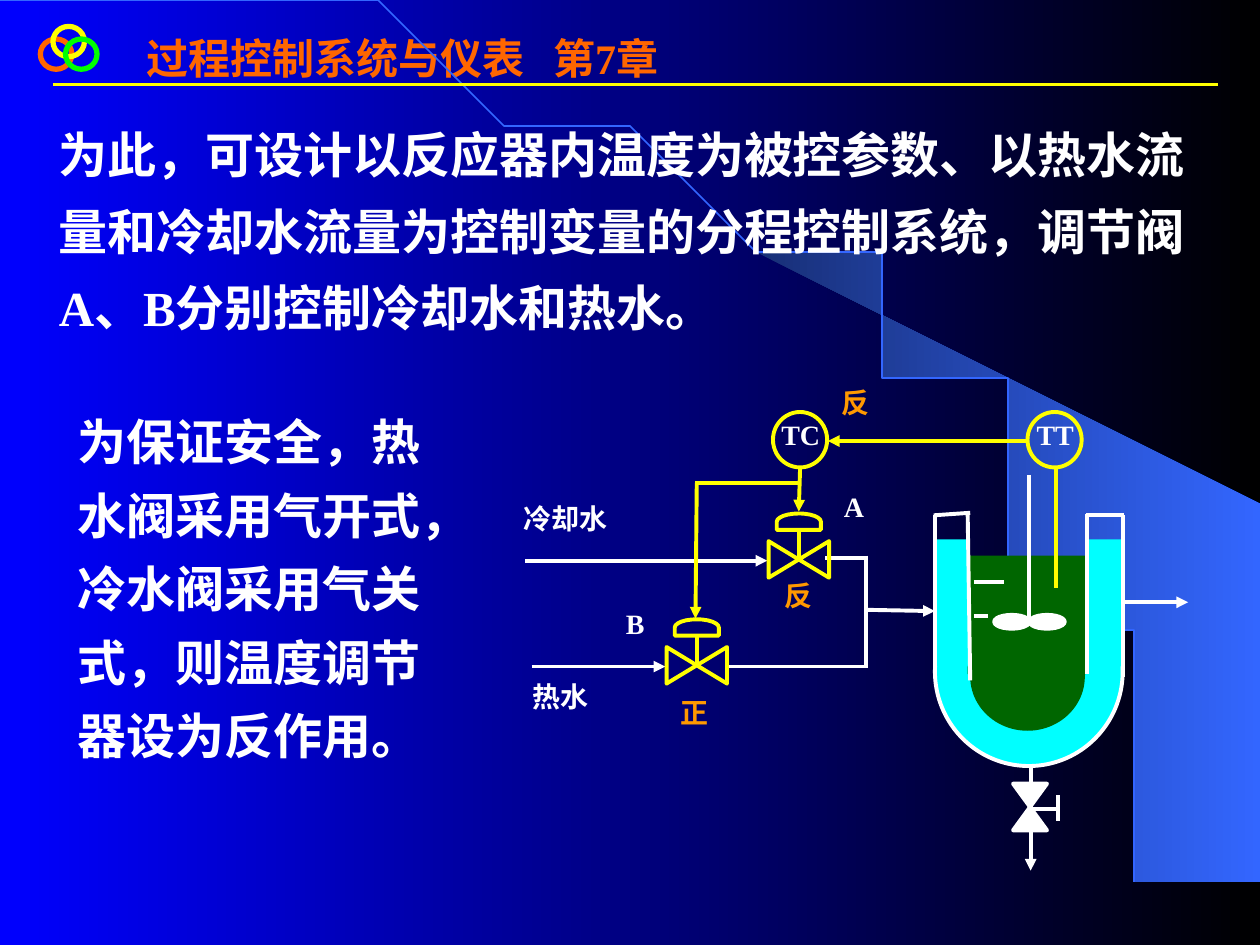
from dataclasses import dataclass
from math import asin, cos, pi, sin

from lxml.etree import SubElement
from pptx import Presentation
from pptx.dml.color import RGBColor
from pptx.enum.shapes import MSO_CONNECTOR, MSO_SHAPE
from pptx.enum.text import MSO_ANCHOR, MSO_AUTO_SIZE, PP_ALIGN
from pptx.oxml.ns import qn
from pptx.util import Inches, Pt


@dataclass(frozen=True)
class Theme:
    font: str = "Times New Roman"
    white: str = "FFFFFF"
    yellow: str = "FFFF00"
    blue: str = "0000FF"
    black: str = "000000"
    arc: str = "3366FF"
    wedge: str = "182F76"
    heading: str = "FF6600"
    ring_green: str = "00FF00"
    action: str = "FF9900"
    jacket: str = "00FFFF"
    liquid: str = "006600"
    heading_size: int = 24
    body_size: int = 28
    label_size: int = 16
    pipe: float = 2.25


THEME = Theme()


def rgb(value):
    return RGBColor.from_string(value)


def apply(target, values):
    for name, value in values.items():
        setattr(target, name, value)


def paint_gradient(fill, *colours):
    """Left-to-right gradient between two colours."""
    fill.gradient()
    fill.gradient_angle = 0
    for position, (stop, colour) in enumerate(zip(fill.gradient_stops, colours)):
        stop.color.rgb = rgb(colour)
        stop.position = position


def paint(shape, fill=None, line=None, width=THEME.pipe):
    shape.shadow.inherit = False
    if fill:
        shape.fill.solid()
        shape.fill.fore_color.rgb = rgb(fill)
    else:
        shape.fill.background()
    if line:
        shape.line.color.rgb = rgb(line)
        shape.line.width = Pt(width)
    else:
        shape.line.fill.background()


def add_figure(slide, kind, box, rotation=0, **look):
    figure = slide.shapes.add_shape(kind, *map(Inches, box))
    figure.rotation = rotation
    paint(figure, **look)


def add_line(slide, start, end, colour=THEME.white, width=THEME.pipe, arrow=False):
    line = slide.shapes.add_connector(
        MSO_CONNECTOR.STRAIGHT, *map(Inches, (*start, *end)))
    line.line.color.rgb = rgb(colour)
    line.line.width = Pt(width)
    if arrow:
        SubElement(line.line._get_or_add_ln(), qn("a:tailEnd"), type="triangle")
    SubElement(line._element.spPr, qn("a:effectLst"))


def write(holder, text, size, colour, spacing=1.0, anchor=MSO_ANCHOR.TOP,
          align=PP_ALIGN.LEFT, tab=None):
    frame = holder.text_frame
    apply(frame, {"text": text, "word_wrap": True, "vertical_anchor": anchor,
                  "auto_size": MSO_AUTO_SIZE.NONE})
    paragraph = frame.paragraphs[0]
    apply(paragraph, {"alignment": align, "line_spacing": spacing})
    if tab:
        stops = SubElement(paragraph._p.get_or_add_pPr(), qn("a:tabLst"))
        SubElement(stops, qn("a:tab"), pos=str(Inches(tab)), algn="l")
    font = paragraph.runs[0].font
    apply(font, {"name": THEME.font, "size": Pt(size), "bold": True})
    font.color.rgb = rgb(colour)


def add_text(slide, box, text, size=THEME.label_size, colour=THEME.white,
             spacing=1.2, **layout):
    holder = slide.shapes.add_textbox(*map(Inches, box))
    write(holder, text, size, colour, spacing, **layout)


def add_outline(slide, points, close):
    builder = slide.shapes.build_freeform(
        *points[0], scale=Inches(1))
    builder.add_line_segments(points[1:], close=close)
    return builder.convert_to_shape()


def add_backdrop(slide):
    paint_gradient(slide.background.fill, THEME.blue, THEME.black)
    rx, ry, steps = 9.2, 7.49, 60

    def arc_from(x):
        first = asin(x / rx)
        angles = [first + (pi / 2 - first) * i / steps for i in range(steps + 1)]
        return [(rx * sin(a), ry - ry * cos(a)) for a in angles]

    wedge = add_outline(slide, arc_from(5.89) + [(9.99, ry), (9.99, 4.23)], True)
    paint(wedge)
    paint_gradient(wedge.fill, THEME.wedge, THEME.arc)
    paint(add_outline(slide, arc_from(0), False), line=THEME.arc, width=1)


def add_heading(slide):
    add_line(slide, (0.42, 0.67), (9.67, 0.67), THEME.yellow, 1.5)
    title = slide.shapes.title
    apply(title, dict(zip(("left", "top", "width", "height"),
                          map(Inches, (1.06, 0.21, 4.49, 0.9)))))
    write(title, "过程控制系统与仪表\t第7章", THEME.heading_size, THEME.heading, tab=3.23)
    rings = ((0.32, 0.31, THEME.heading), (0.42, 0.21, THEME.yellow),
             (0.52, 0.31, THEME.ring_green))
    for x, y, colour in rings:
        add_figure(slide, MSO_SHAPE.OVAL, (x, y, 0.25, 0.24), line=colour, width=3)


def add_reactor(slide):
    add_figure(slide, MSO_SHAPE.OVAL, (7.42, 4.58, 1.49, 1.5),
               fill=THEME.jacket, line=THEME.white)
    add_figure(slide, MSO_SHAPE.OVAL, (7.7, 4.94, 0.91, 0.86), fill=THEME.liquid)
    add_figure(slide, MSO_SHAPE.RECTANGLE, (7.68, 4.41, 0.94, 0.94), fill=THEME.liquid)
    for start, end in (((8.67, 4.31), (8.91, 4.31)), ((8.74, 4.46), (8.9, 4.46)),
                       ((8.85, 4.6), (8.9, 4.6))):
        add_line(slide, start, end, THEME.yellow)
    for x in (7.42, 8.63):
        add_figure(slide, MSO_SHAPE.RECTANGLE, (x, 4.28, 0.27, 1.01), fill=THEME.jacket)
    walls = (((7.42, 4.09), (7.42, 5.37)), ((7.68, 4.08), (7.7, 5.4)),
             ((8.63, 4.08), (8.63, 5.35)), ((8.91, 4.09), (8.91, 5.37)),
             ((7.41, 4.09), (7.7, 4.07)), ((8.62, 4.09), (8.92, 4.09)))
    stirrer = ((8.17, 3.77), (8.17, 4.94))
    level_marks = (((7.73, 4.62), (7.97, 4.62)), ((7.73, 4.89), (7.84, 4.89)))
    for start, end in (*walls, stirrer, *level_marks):
        add_line(slide, start, end)
    for x in (7.89, 8.17):
        add_figure(slide, MSO_SHAPE.OVAL, (x, 4.88, 0.28, 0.11),
                   fill=THEME.white, line=THEME.white)


def add_pipes(slide):
    pipes = (((6.87, 4.41), (6.87, 5.3)), ((5.76, 5.29), (6.88, 5.29)),
             ((6.55, 4.43), (6.88, 4.43)))
    flows = (((4.17, 4.45), (6.09, 4.45)), ((4.22, 5.29), (5.28, 5.29)),
             ((6.87, 4.84), (7.42, 4.85)), ((8.9, 4.78), (9.43, 4.78)),
             ((8.18, 6.08), (8.18, 6.91)))
    for lines, arrow in ((pipes, False), (flows, True)):
        for start, end in lines:
            add_line(slide, start, end, arrow=arrow)
    add_figure(slide, MSO_SHAPE.FLOWCHART_COLLATE, (8.04, 6.22, 0.27, 0.37),
               fill=THEME.white, line=THEME.white)
    add_line(slide, (8.18, 6.42), (8.4, 6.42))
    add_line(slide, (8.4, 6.31), (8.4, 6.52))


def add_control_valve(slide, x, y):
    """Valve body centred on x, y with its stem and actuator above."""
    parts = ((MSO_SHAPE.FLOWCHART_COLLATE, y, 0.29, 0.48),
             (MSO_SHAPE.FLOWCHART_DELAY, y - 0.3, 0.13, 0.35))
    for kind, middle, width, height in parts:
        add_figure(slide, kind, (x - width / 2, middle - height / 2, width, height),
                   rotation=270, line=THEME.yellow)
    add_line(slide, (x, y), (x, y - 0.24), THEME.yellow)


def add_instrument(slide, x, tag):
    """Circle centred on x with its tag inside."""
    add_figure(slide, MSO_SHAPE.OVAL, (x - 0.215, 3.27, 0.43, 0.44), line=THEME.yellow)
    add_text(slide, (x - 0.43, 3.21, 0.87, 0.41), tag, align=PP_ALIGN.CENTER)


def add_control_loop(slide):
    add_control_valve(slide, 6.34, 4.44)
    add_control_valve(slide, 5.53, 5.28)
    add_instrument(slide, 6.35, "TC")
    add_instrument(slide, 8.37, "TT")
    signals = (((8.14, 3.5), (6.57, 3.5), True), ((6.35, 3.71), (6.34, 4.06), True),
               ((5.53, 3.83), (5.52, 4.91), True), ((5.52, 3.83), (6.34, 3.83), False),
               ((8.38, 3.72), (8.38, 4.67), False))
    for start, end, arrow in signals:
        add_line(slide, start, end, THEME.yellow, arrow=arrow)


def add_labels(slide):
    labels = ((4.06, 3.88, 1.24, "冷却水", THEME.white), (4.13, 5.29, 1.03, "热水", THEME.white),
              (6.6, 3.78, 0.63, "A", THEME.white), (4.87, 4.71, 0.63, "B", THEME.white),
              (6.58, 2.96, 0.46, "反", THEME.action), (6.13, 4.49, 0.46, "反", THEME.action),
              (5.3, 5.42, 0.46, "正", THEME.action))
    for x, y, width, text, colour in labels:
        add_text(slide, (x, y, width, 0.42), text, colour=colour)


def add_body(slide):
    paragraphs = (
        ((0.37, 0.8, 9.4, 1.92), 1.3,
         "为此，可设计以反应器内温度为被控参数、以热水流量和冷却水流量为控制变量的"
         "分程控制系统，调节阀A、B分别控制冷却水和热水。"),
        ((0.52, 2.81, 3.1, 3.6), 1.25,
         "为保证安全，热水阀采用气开式，冷水阀采用气关式，则温度调节器设为反作用。"))
    for box, spacing, text in paragraphs:
        add_text(slide, box, text, THEME.body_size, spacing=spacing,
                 anchor=MSO_ANCHOR.MIDDLE)


def main():
    deck = Presentation()
    apply(deck, {"slide_width": Inches(10), "slide_height": Inches(7.5)})
    slide = deck.slides.add_slide(deck.slide_layouts[5])
    for add_part in (add_backdrop, add_heading, add_body, add_reactor, add_pipes,
                     add_control_loop, add_labels):
        add_part(slide)
    deck.save("out.pptx")


if __name__ == "__main__":
    main()
